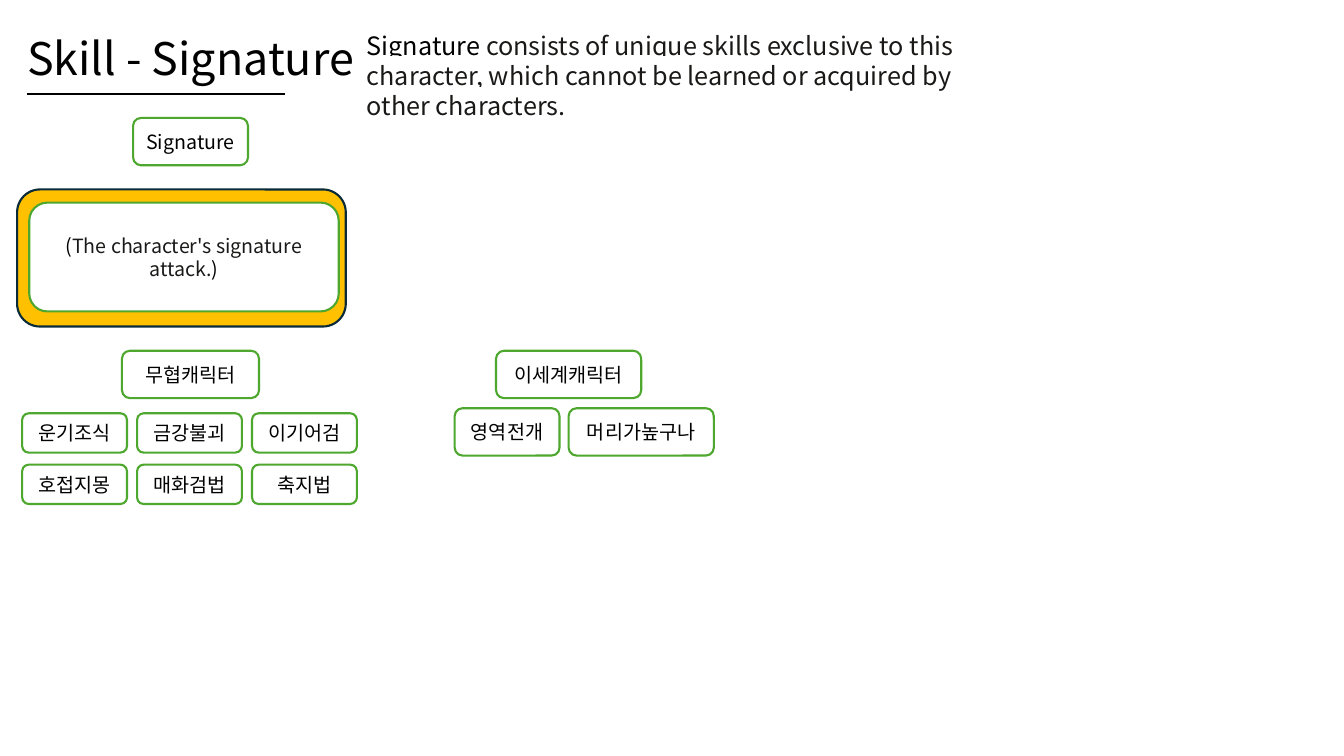
"""Build the Skill - Signature slide."""
from lxml.etree import SubElement
from pptx import Presentation
from pptx.dml.color import RGBColor
from pptx.enum.shapes import MSO_CONNECTOR, MSO_SHAPE
from pptx.enum.text import MSO_ANCHOR, MSO_AUTO_SIZE, PP_ALIGN
from pptx.oxml import parse_xml
from pptx.oxml.ns import nsdecls, qn
from pptx.util import Inches, Pt

FONT = "Noto Sans CJK KR"
COLORS = {
    "black": "000000",
    "ink": "1A1918",
    "white": "FFFFFF",
    "green": "4EA72E",
    "gold": "FFC000",
    "navy": "092A39",
}
RGB = {name: RGBColor.from_string(value) for name, value in COLORS.items()}


def add_run(p, text, size, color="black", highlight=False):
    r = p.add_run()
    r.text = text
    r.font.size = Pt(size)
    r.font.color.rgb = RGB[color]
    r.font.name = FONT
    rPr = r.font._element
    rPr.find(qn("a:latin")).addnext(
        parse_xml(f'<a:ea {nsdecls("a")} typeface="{FONT}"/>'))
    if highlight:
        rPr.find(qn("a:solidFill")).addnext(parse_xml(
            f'<a:highlight {nsdecls("a")}><a:srgbClr val="{COLORS["white"]}"/></a:highlight>'))


def add_box(x, y, w, h, text="", fill="white", line="green"):
    sp = s.shapes.add_shape(MSO_SHAPE.ROUNDED_RECTANGLE,
                            Inches(x), Inches(y), Inches(w), Inches(h))
    sp.shadow.inherit = False
    sp.fill.solid()
    sp.fill.fore_color.rgb = RGB[fill]
    sp.line.color.rgb = RGB[line]
    sp.line.width = Pt(1.5)
    sp.text_frame.vertical_anchor = MSO_ANCHOR.MIDDLE
    p = sp.text_frame.paragraphs[0]
    p.alignment = PP_ALIGN.CENTER
    if text:
        add_run(p, text, 14)
    return p


prs = Presentation()
prs.slide_width = Inches(13.33)
prs.slide_height = Inches(7.5)
s = prs.slides.add_slide(prs.slide_layouts[6])

tf = s.shapes.add_textbox(Inches(0.17), Inches(0.13), Inches(11.5), Inches(0.96)).text_frame
tf.word_wrap = True
tf.vertical_anchor = MSO_ANCHOR.MIDDLE
p = tf.paragraphs[0]
p.line_spacing = 0.9
add_run(p, "Skill - Signature", 32)

rule = s.shapes.add_connector(MSO_CONNECTOR.STRAIGHT,
                              Inches(0.27), Inches(0.93), Inches(2.83), Inches(0.93))
rule.line.color.rgb = RGB["black"]
rule.line.width = Pt(1.5)
SubElement(rule._element.spPr, qn("a:effectLst"))

add_box(1.32, 1.17, 1.14, 0.47, "Signature")
add_box(0.17, 1.88, 3.26, 1.36, fill="gold", line="navy")
p = add_box(0.29, 2.01, 3.07, 1.08)
add_run(p, "(", 14)
add_run(p, "The character's signature attack.", 14, "ink", True)
add_run(p, ")", 14)

add_box(1.21, 3.48, 1.36, 0.47, "무협캐릭터")
martial_skills = [["운기조식", "금강불괴", "이기어검"],
                  ["호접지몽", "매화검법", "축지법"]]
for row, names in enumerate(martial_skills):
    for col, name in enumerate(names):
        add_box(0.22 + 1.14 * col, 4.1 + 0.51 * row, 1.04, 0.39, name)

add_box(4.92, 3.48, 1.44, 0.47, "이세계캐릭터")
for x, w, name in [(4.51, 1.04, "영역전개"), (5.64, 1.44, "머리가높구나")]:
    add_box(x, 4.05, w, 0.47, name)

tf = s.shapes.add_textbox(Inches(3.54), Inches(0.25), Inches(6.67), Inches(0.71)).text_frame
tf.word_wrap = True
tf.auto_size = MSO_AUTO_SIZE.SHAPE_TO_FIT_TEXT
p = tf.paragraphs[0]
add_run(p, "Signature", 18)
add_run(p, " consists of unique skills exclusive to this character, "
           "which cannot be learned or acquired by other characters.", 18, "ink", True)

prs.save("out.pptx")
